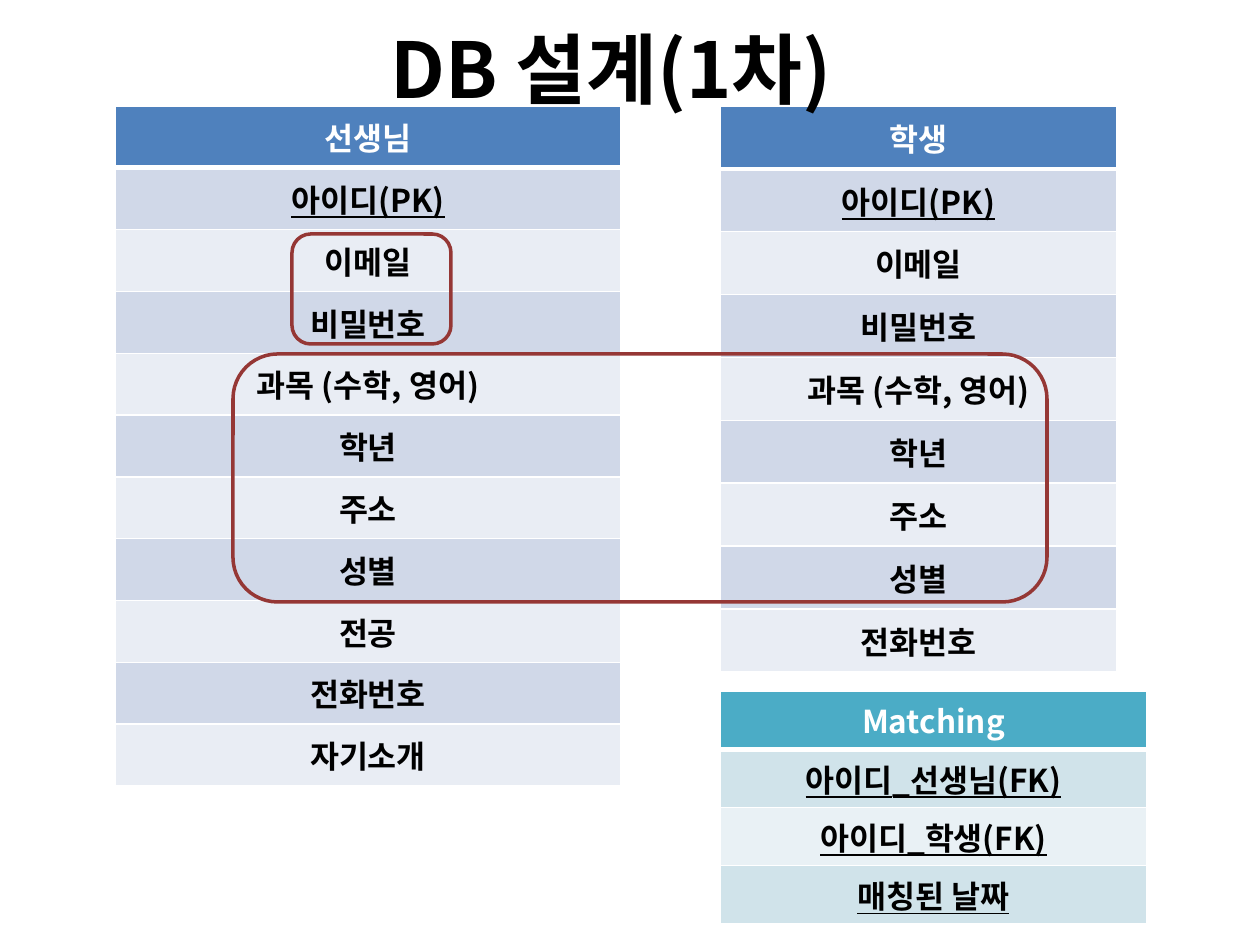
from lxml.etree import SubElement as Sub
from pptx import Presentation
from pptx.dml.color import RGBColor as RGB
from pptx.enum.shapes import MSO_SHAPE as Shape
from pptx.enum.text import MSO_ANCHOR as Anchor, PP_ALIGN as Align
from pptx.oxml import parse_xml
from pptx.oxml.ns import nsdecls, qn
from pptx.util import Pt

PX = 914400 / 126
FONT = "Noto Sans CJK KR"
HUE = {
    "white": "FFFFFF", "black": "000000", "red": "953735",
    "blue": "4F81BD", "blue1": "D0D8E8", "blue2": "E9EDF4",
    "teal": "4BACC6", "teal1": "D0E3EA", "teal2": "E9F1F5",
}


def write(frame, text, size, hue, line=False):
    """Put one centred bold line of text into a frame."""
    para = frame.paragraphs[0]
    para.alignment = Align.CENTER
    run = para.add_run()
    run.text = text
    look = {"name": FONT, "size": Pt(size), "bold": True, "underline": line}
    for key, val in look.items():
        setattr(run.font, key, val)
    run.font.color.rgb = RGB.from_string(HUE[hue])
    Sub(run.font._element, qn("a:ea"), typeface=FONT)


def edge(cell, base):
    """Draw white borders, with the bottom one `base` points wide."""
    props = cell._tc.get_or_add_tcPr()
    sides = {"lnL": 1, "lnR": 1, "lnT": 1, "lnB": base}
    for spot, (tag, wide) in enumerate(sides.items()):
        props.insert(spot, parse_xml(
            f'<a:{tag} {nsdecls("a")} w="{Pt(wide)}"><a:solidFill>'
            f'<a:srgbClr val="{HUE["white"]}"/></a:solidFill></a:{tag}>'))


deck = Presentation()
deck.slide_width, deck.slide_height = int(1260 * PX), int(945 * PX)
slide = deck.slides.add_slide(deck.slide_layouts[5])
shapes = slide.shapes

# Tables: box in px, colour family, underlined rows, row texts
shared = ["아이디(PK)", "이메일", "비밀번호", "과목 (수학, 영어)", "학년", "주소", "성별"]
tables = [
    ((115, 106, 506, 680), "blue", {1},
     ["선생님", *shared, "전공", "전화번호", "자기소개"]),
    ((720, 106, 397, 566), "blue", {1}, ["학생", *shared, "전화번호"]),
    ((720, 691, 427, 232), "teal", {1, 2, 3},
     ["Matching", "아이디_선생님(FK)", "아이디_학생(FK)", "매칭된 날짜"]),
]
for box, tone, lined, rows in tables:
    place = [int(n * PX) for n in box]
    grid = shapes.add_table(len(rows), 1, *place).table
    for i, text in enumerate(rows):
        grid.rows[i].height = place[3] // len(rows)
        cell = grid.cell(i, 0)
        cell.vertical_anchor = Anchor.MIDDLE
        fill = tone if i == 0 else f"{tone}{2 - i % 2}"
        cell.fill.solid()
        cell.fill.fore_color.rgb = RGB.from_string(HUE[fill])
        edge(cell, 1 if i else 3)
        write(cell.text_frame, text, 18, "black" if i else "white", i in lined)

# Rounded frames around the grouped fields
for box, bend in [((233, 354, 814, 248), 0.18), ((292, 234, 159, 110), 0.17)]:
    ring = shapes.add_shape(Shape.ROUNDED_RECTANGLE, *[int(n * PX) for n in box])
    ring.adjustments[0] = bend
    ring.shadow.inherit = False
    ring.fill.background()
    ring.line.color.rgb = RGB.from_string(HUE["red"])
    ring.line.width = Pt(2)

# The title lies in front of the tables
title = shapes.title
spots = {"left": 44, "top": -11, "width": 1134, "height": 158}
for key, val in spots.items():
    setattr(title, key, int(val * PX))
title.text_frame.vertical_anchor = Anchor.MIDDLE
write(title.text_frame, "DB 설계(1차)", 44, "black")
shapes._spTree.append(title._element)

deck.save("out.pptx")
